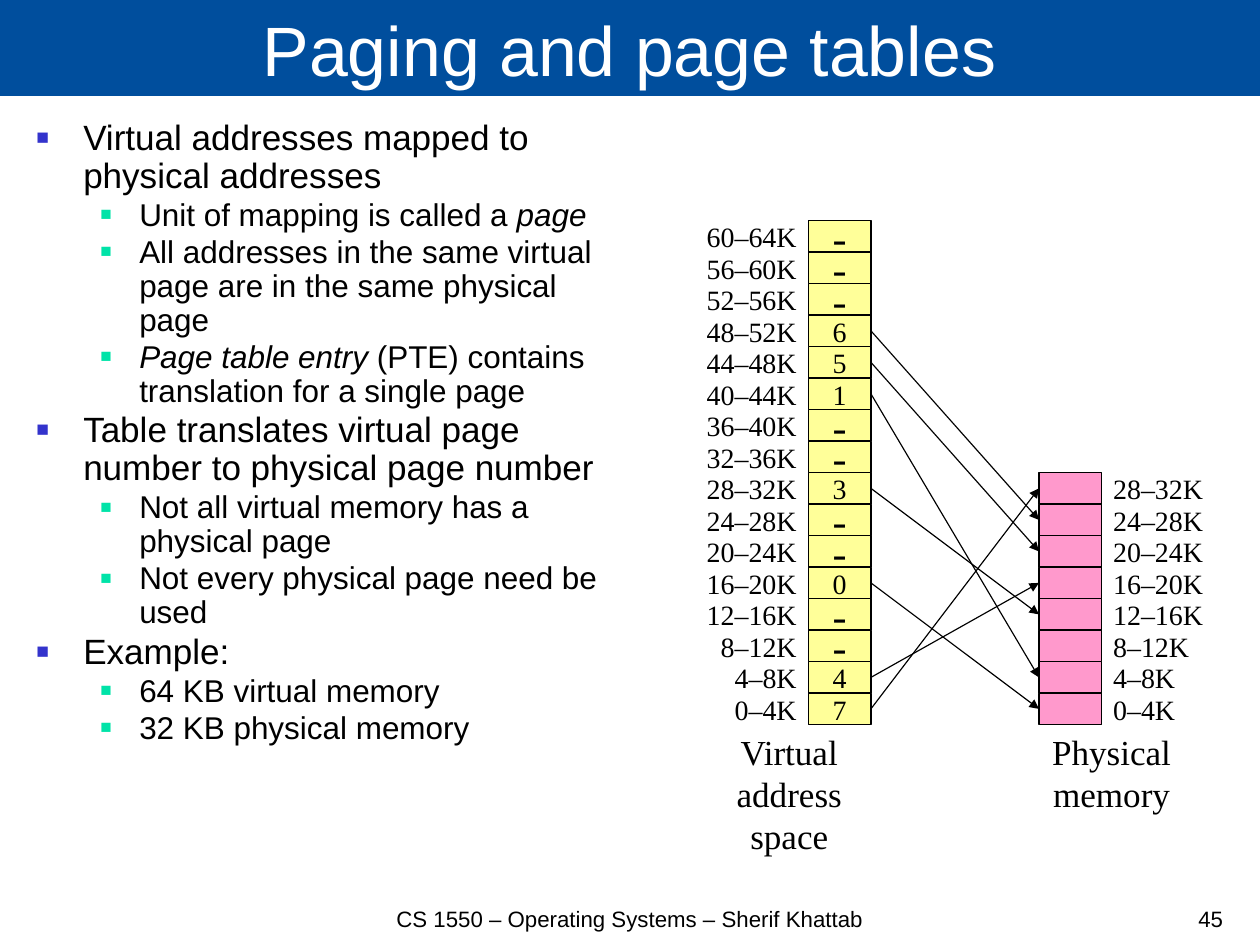
from lxml import etree
from pptx import Presentation
from pptx.dml.color import RGBColor
from pptx.enum import shapes, text
from pptx.oxml import ns
from pptx.util import Inches, Pt

COLORS = {
    "banner": "004E9D", "white": "FFFFFF", "black": "000000",
    "virtual": "FFFF99", "physical": "FF99CC",
    "bullet": "3333CC", "sub_bullet": "00E3A8",
}
SANS, SERIF = "Arial", "Times New Roman"
LEFT, CENTER, RIGHT = text.PP_ALIGN.LEFT, text.PP_ALIGN.CENTER, text.PP_ALIGN.RIGHT
TOP, MIDDLE, BOTTOM = text.MSO_ANCHOR.TOP, text.MSO_ANCHOR.MIDDLE, text.MSO_ANCHOR.BOTTOM
CM_PER_INCH = 2.54
PAGE_WIDTH, PAGE_HEIGHT = 28 / CM_PER_INCH, 21 / CM_PER_INCH

POINTS = [
    (0, [("Virtual addresses mapped to physical addresses", False)]),
    (1, [("Unit of mapping is called a ", False), ("page", True)]),
    (1, [("All addresses in the same virtual page are in the same physical page", False)]),
    (1, [("Page table entry", True), (" (PTE) contains translation for a single page", False)]),
    (0, [("Table translates virtual page number to physical page number", False)]),
    (1, [("Not all virtual memory has a physical page", False)]),
    (1, [("Not every physical page need be used", False)]),
    (0, [("Example:", False)]),
    (1, [("64 KB virtual memory", False)]),
    (1, [("32 KB physical memory", False)]),
]
LEVELS = [(22.1, 0.41, 0.41, "bullet"), (19.8, 0.9, 0.34, "sub_bullet")]

PAGE_TABLE = {0: 7, 1: 4, 4: 0, 7: 3, 10: 1, 11: 5, 12: 6}
VIRTUAL_PAGES, PHYSICAL_PAGES, PAGE_KB = 16, 8, 4
ROW = 4.41 / VIRTUAL_PAGES


def rgb(name):
    """Return the named colour."""
    return RGBColor.from_string(COLORS[name])


def style(para, size, face, color="black", align=LEFT):
    """Set the font and alignment of a paragraph."""
    para.alignment = align
    para.font.size = Pt(size)
    para.font.name = face
    para.font.color.rgb = rgb(color)


def write(shape, words, size, face, align, anchor, wrap=True, color="black"):
    """Put one styled paragraph into a shape."""
    frame = shape.text_frame
    frame.text = words
    frame.word_wrap = wrap
    frame.auto_size = text.MSO_AUTO_SIZE.NONE
    frame.vertical_anchor = anchor
    style(frame.paragraphs[0], size, face, color, align)


def add_text(page, box, words, size, face, align, anchor, wrap=True):
    """Add a text box at box, given as left, top, width, height."""
    shape = page.shapes.add_textbox(*map(Inches, box))
    write(shape, words, size, face, align, anchor, wrap)


def add_cell(page, box, fill, outlined=True):
    """Add a filled rectangle and return it."""
    cell = page.shapes.add_shape(shapes.MSO_SHAPE.RECTANGLE, *map(Inches, box))
    cell.shadow.inherit = False
    cell.fill.solid()
    cell.fill.fore_color.rgb = rgb(fill)
    if outlined:
        cell.line.color.rgb = rgb("black")
        cell.line.width = Pt(0.75)
    else:
        cell.line.fill.background()
    return cell


def add_title(page, box, words):
    """Turn the title placeholder into the banner."""
    title = page.shapes.title
    title.left, title.top, title.width, title.height = map(Inches, box)
    title.fill.solid()
    title.fill.fore_color.rgb = rgb("banner")
    write(title, words, 44, SANS, CENTER, BOTTOM, color="white")


def add_bullet(para, indent, hanging, color):
    """Give a paragraph a coloured square bullet and a hanging indent."""
    props = para._p.get_or_add_pPr()
    props.set("marL", str(Inches(indent)))
    props.set("indent", str(-Inches(hanging)))
    marks = [
        etree.Element(ns.qn("a:buClr")),
        etree.Element(ns.qn("a:buSzPct"), val="60000"),
        etree.Element(ns.qn("a:buFont"), typeface=SANS),
        etree.Element(ns.qn("a:buChar"), char="■"),
    ]
    etree.SubElement(marks[0], ns.qn("a:srgbClr"), val=COLORS[color])
    defaults = props.find(ns.qn("a:defRPr"))
    for mark in marks:
        defaults.addprevious(mark)


def add_points(page, box):
    """Add the two-level bullet list."""
    frame = page.shapes.add_textbox(*map(Inches, box)).text_frame
    frame.word_wrap = True
    for number, (level, spans) in enumerate(POINTS):
        para = frame.add_paragraph() if number else frame.paragraphs[0]
        size, indent, hanging, color = LEVELS[level]
        para.level = level
        para.line_spacing = 0.9
        para.space_before = Pt(size / 10)
        style(para, size, SANS)
        add_bullet(para, indent, hanging, color)
        for words, italic in spans:
            span = para.add_run()
            span.text = words
            if italic:
                span.font.italic = True


def add_memory(page, box, count, fill, label_box, align, entries=None):
    """Stack memory pages upwards in box, with address labels beside them."""
    left, top, width, height = box
    label_left, label_width = label_box
    for number in range(count):
        row_top = top + height - (number + 1) * ROW
        label = add_cell(page, (label_left, row_top, label_width, ROW), "white", False)
        span = f"{number * PAGE_KB}–{(number + 1) * PAGE_KB}K"
        write(label, span, 17.6, SERIF, align, MIDDLE, False)
        cell = add_cell(page, (left, row_top, width, ROW), fill)
        if entries is not None:
            entry = str(entries.get(number, "-"))
            size = 26.5 if entry == "-" else 17.6
            write(cell, entry, size, SERIF, CENTER, MIDDLE, False)


def add_arrow(page, start, end):
    """Draw an arrow between two points."""
    arrow = page.shapes.add_connector(
        shapes.MSO_CONNECTOR.STRAIGHT, *map(Inches, (*start, *end)))
    arrow.line.color.rgb = rgb("black")
    arrow.line.width = Pt(0.75)
    etree.SubElement(arrow.line._get_or_add_ln(), ns.qn("a:tailEnd"), type="triangle")
    etree.SubElement(arrow._element.spPr, ns.qn("a:effectLst"))


def add_mapping(page, box):
    """Draw both memories, their captions and the arrows between them."""
    left, top, width, height = box
    bottom = top + height
    cell = 0.55
    table_left, memory_left = left + 1.1, left + 3.12
    memory_height = PHYSICAL_PAGES * ROW
    add_memory(page, (table_left, top, cell, height), VIRTUAL_PAGES,
               "virtual", (left, 1.1), RIGHT, PAGE_TABLE)
    add_memory(page, (memory_left, bottom - memory_height, cell, memory_height),
               PHYSICAL_PAGES, "physical", (memory_left + cell, width - 3.67), LEFT)
    for source, target in PAGE_TABLE.items():
        add_arrow(page, (table_left + cell, bottom - (source + 0.5) * ROW),
                  (memory_left, bottom - (target + 0.5) * ROW))
    add_text(page, (left + 0.37, bottom, 1.13, 1.21), "Virtual\vaddress\vspace",
             22.1, SERIF, CENTER, TOP, False)
    add_text(page, (left + 3.13, bottom, 1.25, 0.84), "Physical\vmemory",
             22.1, SERIF, CENTER, TOP, False)


def add_footer(page, box):
    """Add the course line in the middle and the page number at the right."""
    left, top, width, height = box
    add_text(page, (left, top, 6.52, height),
             "CS 1550 – Operating Systems – Sherif Khattab", 14, SANS, CENTER, BOTTOM)
    add_text(page, (left + width - 0.46, top, 0.46, height), "45", 14, SANS, RIGHT, BOTTOM, False)


def main():
    """Build the deck and save it."""
    deck = Presentation()
    deck.slide_width, deck.slide_height = Inches(PAGE_WIDTH), Inches(PAGE_HEIGHT)
    page = deck.slides.add_slide(deck.slide_layouts.get_by_name("Title Only"))
    add_title(page, (0, -0.01, PAGE_WIDTH, 0.85), "Paging and page tables")
    add_points(page, (0.22, 1, 5.42, 6.72))
    add_mapping(page, (5.97, 1.93, 4.5, 4.41))
    add_footer(page, (2.25, 7.9, 8.55, 0.3))
    deck.save("out.pptx")


if __name__ == "__main__":
    main()
